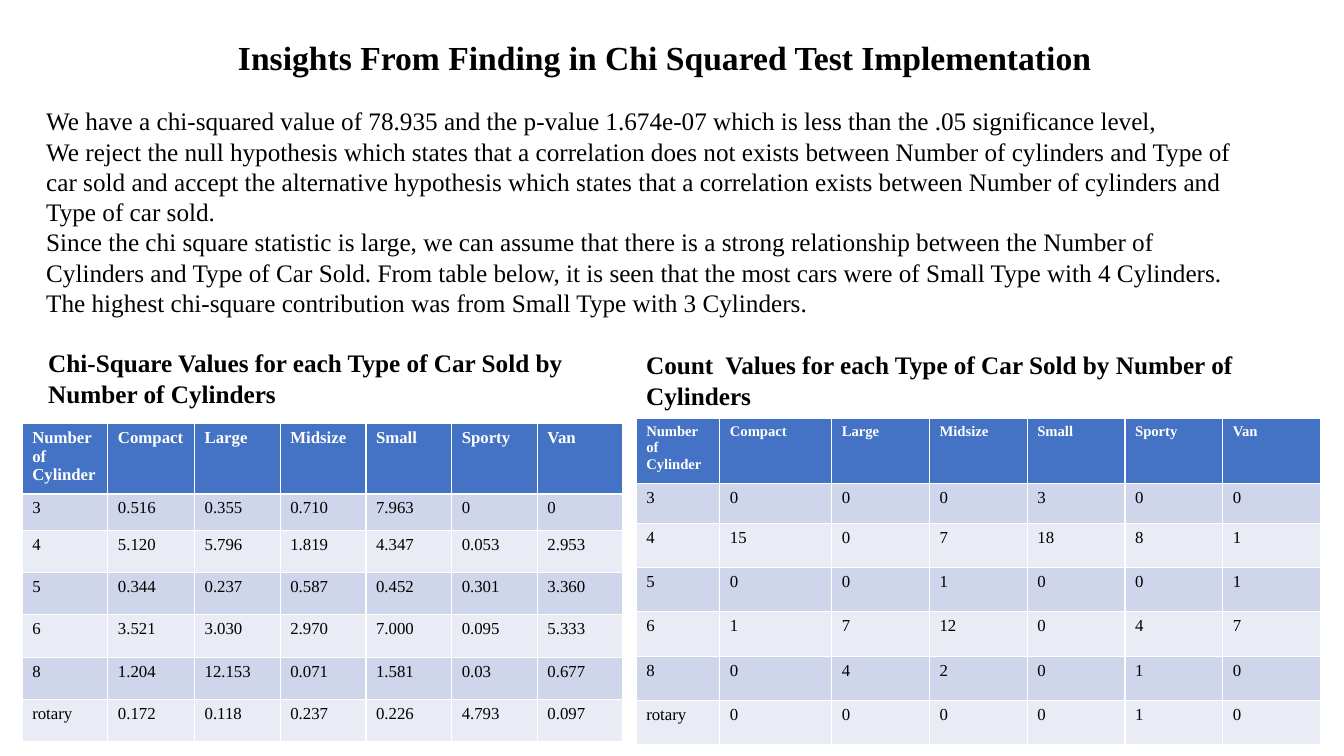
from pptx import Presentation
from pptx.dml.color import RGBColor
from pptx.enum.text import MSO_ANCHOR, MSO_AUTO_SIZE, PP_ALIGN
from pptx.util import Inches, Pt

FONT = "Times New Roman"
BLACK, WHITE, HEADER = "000000", "FFFFFF", "4472C4"
BANDS = ["CFD5EA", "E9EBF5"]

TITLE = "Insights From Finding in Chi Squared Test Implementation"
FINDINGS = [
    "We have a chi-squared value of 78.935 and the p-value 1.674e-07 which is less than "
    "the .05 significance level,",
    "We reject the null hypothesis which states that a correlation does not exists between "
    "Number of cylinders and Type of car sold and accept the alternative hypothesis which "
    "states that a correlation exists between Number of cylinders and Type of car sold.",
    "Since the chi square statistic is large, we can assume that there is a strong "
    "relationship between the Number of Cylinders and Type of Car Sold. From table below, "
    "it is seen that the most cars were of Small Type with 4 Cylinders. The highest "
    "chi-square contribution was from Small Type with 3 Cylinders.",
]
COLUMNS = ["Number of Cylinder", "Compact", "Large", "Midsize", "Small", "Sporty", "Van"]
CYLINDERS = ["3", "4", "5", "6", "8", "rotary"]

TABLES = [
    {
        "heading": "Chi-Square Values for each Type of Car Sold by Number of Cylinders",
        "heading_box": (0.38, 3.4, 5.5, 0.71),
        "box": (0.22, 4.2, 5.97, 3.15),
        "widths": [0.85, 0.86] + [0.85] * 5,
        "heights": [0.7, 0.36] + [0.42] * 5,
        "header_size": 12,
        "values": [
            ["0.516", "0.355", "0.710", "7.963", "0", "0"],
            ["5.120", "5.796", "1.819", "4.347", "0.053", "2.953"],
            ["0.344", "0.237", "0.587", "0.452", "0.301", "3.360"],
            ["3.521", "3.030", "2.970", "7.000", "0.095", "5.333"],
            ["1.204", "12.153", "0.071", "1.581", "0.03", "0.677"],
            ["0.172", "0.118", "0.237", "0.226", "4.793", "0.097"],
        ],
    },
    {
        "heading": "Count  Values for each Type of Car Sold by Number of Cylinders",
        "heading_box": (6.31, 3.42, 6.67, 0.71),
        "box": (6.31, 4.15, 6.8, 3.25),
        "widths": [0.83, 1.11] + [0.97] * 5,
        "heights": [0.65, 0.39] + [0.44] * 5,
        "header_size": 10.5,
        "values": [
            ["0", "0", "0", "3", "0", "0"],
            ["15", "0", "7", "18", "8", "1"],
            ["0", "0", "1", "0", "0", "1"],
            ["1", "7", "12", "0", "4", "7"],
            ["0", "4", "2", "0", "1", "0"],
            ["0", "0", "0", "0", "1", "0"],
        ],
    },
]


def rgb(value):
    return RGBColor.from_string(value)


def write(tf, *lines, size=18, color=BLACK, bold=False):
    for i, line in enumerate(lines):
        p = tf.paragraphs[0] if i == 0 else tf.add_paragraph()
        p.alignment = PP_ALIGN.LEFT
        r = p.add_run()
        r.text = line
        r.font.name = FONT
        r.font.size = Pt(size)
        r.font.bold = bold
        r.font.color.rgb = rgb(color)


def add_text(s, box, *lines, **style):
    tf = s.shapes.add_textbox(*map(Inches, box)).text_frame
    tf.word_wrap = True
    write(tf, *lines, **style)


def add_title(s):
    sp = s.shapes.title
    sp.left, sp.top, sp.width, sp.height = map(Inches, (2.26, 0.32, 8.83, 0.5))
    tf = sp.text_frame
    tf.word_wrap = False
    tf.auto_size = MSO_AUTO_SIZE.NONE
    tf.vertical_anchor = MSO_ANCHOR.TOP
    write(tf, TITLE, size=24, bold=True)


def add_grid(s, spec_table):
    rows = [COLUMNS] + [[c] + v for c, v in zip(CYLINDERS, spec_table["values"])]
    box = map(Inches, spec_table["box"])
    table = s.shapes.add_table(len(rows), len(COLUMNS), *box).table
    for column, width in zip(table.columns, spec_table["widths"]):
        column.width = Inches(width)
    for row, height in zip(table.rows, spec_table["heights"]):
        row.height = Inches(height)
    for i, row in enumerate(rows):
        header = i == 0
        for j, value in enumerate(row):
            cell = table.cell(i, j)
            cell.fill.solid()
            cell.fill.fore_color.rgb = rgb(HEADER if header else BANDS[(i - 1) % 2])
            write(cell.text_frame, value, bold=header,
                  size=spec_table["header_size"] if header else 12,
                  color=WHITE if header else BLACK)


def main():
    prs = Presentation()
    prs.slide_width, prs.slide_height = Inches(13.33), Inches(7.5)
    s = prs.slides.add_slide(prs.slide_layouts[5])
    add_title(s)
    add_text(s, (0.36, 1, 11.99, 2.52), *FINDINGS)
    for t in TABLES:
        add_grid(s, t)
        add_text(s, t["heading_box"], t["heading"], bold=True)
    prs.save("out.pptx")


if __name__ == "__main__":
    main()
